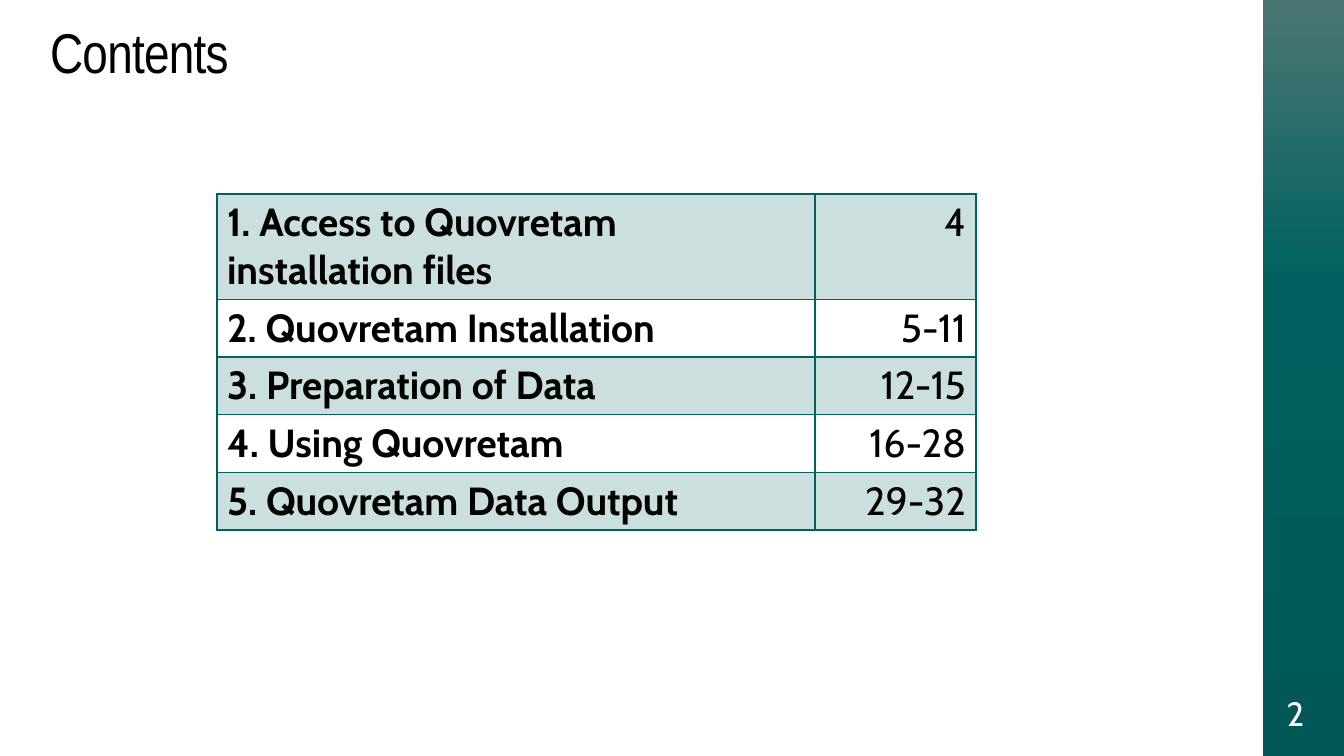
import copy
from dataclasses import dataclass

import lxml.etree
import pptx
import pptx.dml.color
import pptx.enum.shapes
import pptx.enum.text
import pptx.oxml.ns
import pptx.util

RGB = pptx.dml.color.RGBColor.from_string
ALIGN = pptx.enum.text.PP_ALIGN
ANCHOR = pptx.enum.text.MSO_ANCHOR
qn = pptx.oxml.ns.qn


@dataclass(frozen=True)
class Theme:
    ink: str = "000000"
    paper: str = "FFFFFF"
    teal: str = "006260"
    bar_stops: tuple = ((0, "4B7674"), (0.37, "006260"), (1, "005755"))
    title_font: str = "Arial Narrow"
    body_font: str = "Cabin"
    title_size: int = 40
    table_size: int = 28
    number_size: int = 24


THEME = Theme()
TITLE_ONLY = 5
CONTENTS = (
    ("1. Access to Quovretam installation files", "4"),
    ("2. Quovretam Installation", "5-11"),
    ("3. Preparation of Data", "12-15"),
    ("4. Using Quovretam", "16-28"),
    ("5. Quovretam Data Output", "29-32"),
)


def px(n):
    """Turn pixels, 100.8 to the inch, into EMU."""
    return pptx.util.Emu(round(n * 914400 / 100.8))


def style_text(p, font, size, color, align, bold=False):
    p.alignment = align
    for r in p.runs:
        r.font.name = font
        r.font.size = pptx.util.Pt(size)
        r.font.bold = bold
        r.font.color.rgb = RGB(color)


def add_side_bar(s, x, y, w, h):
    bar = s.shapes.add_shape(pptx.enum.shapes.MSO_SHAPE.RECTANGLE,
                             px(x), px(y), px(w), px(h))
    bar.shadow.inherit = False
    bar.line.fill.background()
    bar.fill.gradient()
    bar.fill.gradient_angle = 270
    stop_list = bar._element.spPr.find(".//" + qn("a:gsLst"))
    stop_list.append(copy.deepcopy(stop_list[-1]))
    for stop, (position, color) in zip(bar.fill.gradient_stops, THEME.bar_stops):
        stop.position = position
        stop.color.rgb = RGB(color)


def add_title(s, text, x, y, w, h):
    title = s.shapes.title
    title.left, title.top, title.width, title.height = map(px, (x, y, w, h))
    tf = title.text_frame
    tf.text = text
    tf.auto_size = pptx.enum.text.MSO_AUTO_SIZE.NONE
    tf.vertical_anchor = ANCHOR.TOP
    p = tf.paragraphs[0]
    p.line_spacing = 0.9
    style_text(p, THEME.title_font, THEME.title_size, THEME.ink, ALIGN.LEFT)
    p.runs[0]._r.get_or_add_rPr().set("spc", "-50")


def add_borders(cell):
    """Draw a one-point line on each side; call before the cell is filled."""
    tc_pr = cell._tc.get_or_add_tcPr()
    for side in ("lnL", "lnR", "lnT", "lnB"):
        line = lxml.etree.SubElement(tc_pr, qn("a:" + side), w="12700")
        fill = lxml.etree.SubElement(line, qn("a:solidFill"))
        lxml.etree.SubElement(fill, qn("a:srgbClr"), val=THEME.teal)


def fill_tint(cell):
    cell.fill.solid()
    cell.fill.fore_color.rgb = RGB(THEME.teal)
    color = cell._tc.tcPr.find(qn("a:solidFill"))[0]
    lxml.etree.SubElement(color, qn("a:alpha"), val="20000")


def add_contents_table(s, entries, x, y, col_widths, row_height):
    table = s.shapes.add_table(
        len(entries), len(col_widths), px(x), px(y),
        px(sum(col_widths)), px(row_height * len(entries))).table
    table.first_row = False
    table.horz_banding = False
    for column, width in zip(table.columns, col_widths):
        column.width = px(width)
    for i, entry in enumerate(entries):
        table.rows[i].height = px(row_height)
        for j, text in enumerate(entry):
            cell = table.cell(i, j)
            cell.text = text
            style_text(cell.text_frame.paragraphs[0], THEME.body_font,
                       THEME.table_size, THEME.ink,
                       ALIGN.RIGHT if j else ALIGN.LEFT, bold=j == 0)
            add_borders(cell)
            if i % 2:
                cell.fill.background()
            else:
                fill_tint(cell)


def add_page_number(s, number, x, y, w, h):
    tf = s.shapes.add_textbox(px(x), px(y), px(w), px(h)).text_frame
    tf.text = str(number)
    tf.word_wrap = True
    tf.vertical_anchor = ANCHOR.MIDDLE
    tf.margin_left = tf.margin_right = tf.margin_top = tf.margin_bottom = px(5)
    style_text(tf.paragraphs[0], THEME.body_font, THEME.number_size,
               THEME.paper, ALIGN.CENTER)


def add_contents_slide(prs):
    s = prs.slides.add_slide(prs.slide_layouts[TITLE_ONLY])
    s.background.fill.solid()
    s.background.fill.fore_color.rgb = RGB(THEME.paper)
    add_side_bar(s, 1263, 0, 81, 756)
    add_title(s, "Contents", 40, 20, 1200, 146)
    add_contents_table(s, CONTENTS, 217, 194, (598, 161), 41)
    add_page_number(s, 2, 1245, 680, 101, 66)


def main():
    prs = pptx.Presentation()
    prs.slide_width, prs.slide_height = px(1344), px(756)
    add_contents_slide(prs)
    prs.save("out.pptx")


if __name__ == "__main__":
    main()
